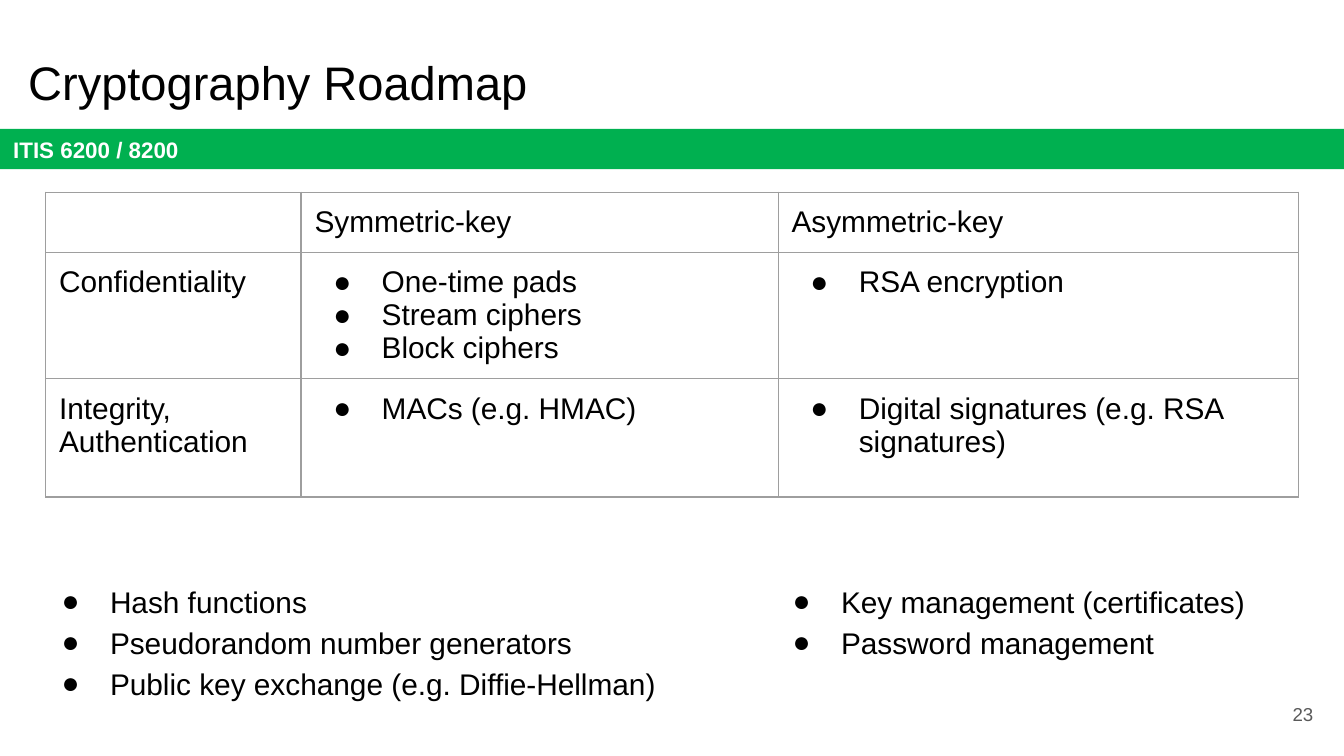
from copy import deepcopy
from dataclasses import dataclass

from lxml.etree import SubElement
from pptx import Presentation
from pptx.dml.color import RGBColor as Rgb
from pptx.enum.shapes import MSO_SHAPE as Shape
from pptx.enum.text import MSO_ANCHOR as Anchor, MSO_AUTO_SIZE as Fit, PP_ALIGN as Align
from pptx.oxml.ns import qn
from pptx.util import Inches, Pt


@dataclass(frozen=True)
class Theme:
    font: str = "Arial"
    ink: str = "000000"
    band: str = "00B050"
    band_ink: str = "FFFFFF"
    rule: str = "9E9E9E"
    muted: str = "595959"
    title_size: float = 25.2
    body_size: float = 16
    band_size: float = 12
    number_size: float = 10
    rule_width: float = 0.75
    inset: float = 0.1
    empty_inset: float = 0.05
    indent: float = 0.5
    hanging: float = -0.36


THEME = Theme()


def add_bullet(paragraph, color):
    props = paragraph._p.get_or_add_pPr()
    props.set("marL", str(Inches(THEME.indent)))
    props.set("indent", str(Inches(THEME.hanging)))
    SubElement(SubElement(props, qn("a:buClr")), qn("a:srgbClr"), val=color)
    SubElement(props, qn("a:buFont"), typeface=THEME.font)
    SubElement(props, qn("a:buChar"), char="●")


def write(frame, lines, size=THEME.body_size, color=THEME.ink, bold=False,
          align=Align.LEFT, bullet=False, spacing=None):
    for index, line in enumerate(lines):
        paragraph = frame.add_paragraph() if index else frame.paragraphs[0]
        paragraph.text = line
        if bullet:
            add_bullet(paragraph, color)
        paragraph.alignment = align
        if spacing:
            paragraph.line_spacing = spacing
        for run in paragraph.runs:
            run.font.name = THEME.font
            run.font.size = Pt(size)
            run.font.bold = bold
            run.font.color.rgb = Rgb.from_string(color)
        for line_break in paragraph._p.findall(qn("a:br")):
            line_break.insert(0, deepcopy(paragraph.runs[0]._r.rPr))


class RoadmapSlide:
    def __init__(self, deck, theme):
        self.theme = theme
        self.slide = deck.slides.add_slide(deck.slide_layouts[5])

    def prepare(self, frame, anchor):
        frame.word_wrap = True
        frame.auto_size = Fit.NONE
        frame.vertical_anchor = anchor
        inset = Inches(self.theme.inset)
        frame.margin_left = frame.margin_right = inset
        frame.margin_top = frame.margin_bottom = inset
        return frame

    def title(self, text, left, top, width, height):
        heading = self.slide.shapes.title
        heading.left, heading.top = Inches(left), Inches(top)
        heading.width, heading.height = Inches(width), Inches(height)
        write(self.prepare(heading.text_frame, Anchor.TOP), [text],
              size=self.theme.title_size)

    def band(self, text, *box):
        strip = self.slide.shapes.add_shape(Shape.RECTANGLE, *map(Inches, box))
        strip.shadow.inherit = False
        strip.fill.solid()
        strip.fill.fore_color.rgb = Rgb.from_string(self.theme.band)
        strip.line.fill.background()
        write(self.prepare(strip.text_frame, Anchor.MIDDLE), [text],
              size=self.theme.band_size, color=self.theme.band_ink, bold=True)

    def text(self, lines, *box, anchor=Anchor.TOP, **style):
        area = self.slide.shapes.add_textbox(*map(Inches, box))
        write(self.prepare(area.text_frame, anchor), lines, **style)

    def border(self, cell):
        props = cell._tc.get_or_add_tcPr()
        for side in ("lnL", "lnR", "lnT", "lnB"):
            edge = SubElement(props, qn(f"a:{side}"), w=str(Pt(self.theme.rule_width)))
            fill = SubElement(edge, qn("a:solidFill"))
            SubElement(fill, qn("a:srgbClr"), val=self.theme.rule)

    def table(self, rows, widths, heights, left, top):
        grid = self.slide.shapes.add_table(
            len(rows), len(widths), Inches(left), Inches(top),
            Inches(sum(widths)), Inches(sum(heights))).table
        grid.first_row = grid.horz_banding = False
        for column, width in zip(grid.columns, widths):
            column.width = Inches(width)
        for row, height in zip(grid.rows, heights):
            row.height = Inches(height)
        for r, row in enumerate(rows):
            for c, lines in enumerate(row):
                cell = grid.cell(r, c)
                inset = Inches(self.theme.inset if lines else self.theme.empty_inset)
                cell.margin_left = cell.margin_right = inset
                cell.margin_top = cell.margin_bottom = inset
                self.border(cell)
                cell.fill.background()
                write(cell.text_frame, lines, bullet=r > 0 and c > 0)


def main():
    deck = Presentation()
    deck.slide_width = Inches(10)
    deck.slide_height = deck.slide_width * 9 // 16
    roadmap = RoadmapSlide(deck, THEME)

    roadmap.band("ITIS 6200 / 8200", 0, 0.96, 10, 0.3)
    roadmap.title("Cryptography Roadmap", 0.11, 0.3, 9.32, 0.63)

    schemes = [
        [[], ["Symmetric-key"], ["Asymmetric-key"]],
        [["Confidentiality"],
         ["One-time pads", "Stream ciphers", "Block ciphers"],
         ["RSA encryption"]],
        [["Integrity,\vAuthentication"],
         ["MACs (e.g. HMAC)"],
         ["Digital signatures (e.g. RSA signatures)"]],
    ]
    roadmap.table(schemes, (1.9, 3.55, 3.87), (0.41, 0.88, 0.88), 0.34, 1.43)

    primitives = ["Hash functions", "Pseudorandom number generators",
                  "Public key exchange (e.g. Diffie-Hellman)"]
    management = ["Key management (certificates)", "Password management"]
    listing = dict(bullet=True, spacing=1.15)
    roadmap.text(primitives, 0.22, 4.2, 4.78, 1.28, **listing)
    roadmap.text(management, 5.66, 4.2, 3.77, 0.78, **listing)

    roadmap.text(["23"], 9.27, 5.1, 0.6, 0.43, anchor=Anchor.MIDDLE,
                 size=THEME.number_size, color=THEME.muted, align=Align.RIGHT)
    deck.save("out.pptx")


if __name__ == "__main__":
    main()
